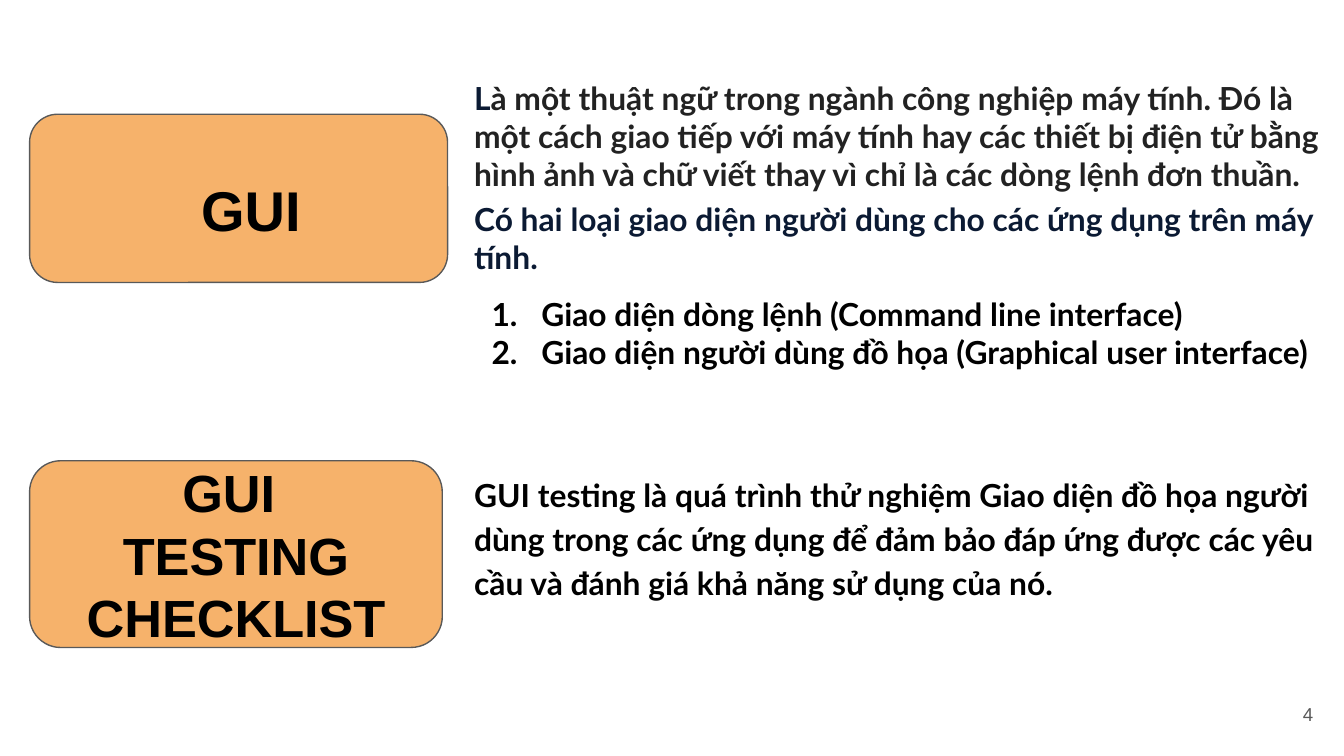
from dataclasses import dataclass

from lxml import etree
from pptx import Presentation
from pptx import util as u
from pptx.dml.color import RGBColor
from pptx.enum import shapes, text
from pptx.oxml.ns import qn


@dataclass(frozen=True)
class Theme:
    orange: RGBColor = RGBColor(0xF6, 0xB2, 0x6B)
    grey: RGBColor = RGBColor(0x59, 0x59, 0x59)
    black: RGBColor = RGBColor(0, 0, 0)
    charcoal: RGBColor = RGBColor(0x22, 0x22, 0x22)
    navy: RGBColor = RGBColor(0x0B, 0x1A, 0x33)
    label_font: str = "Arial"
    body_font: str = "Lato"
    gui_size: int = 30
    checklist_size: int = 28
    body_size: int = 17
    number_size: int = 10


THEME = Theme()
INSET = 0.25
LABEL_LEFT = 0.56
BODY_LEFT, BODY_WIDTH = 8.71, 16.69


def set_frame(tf, anchor, left=INSET, top=INSET):
    tf.word_wrap = True
    tf.vertical_anchor = anchor
    tf.margin_left, tf.margin_top = u.Cm(left), u.Cm(top)
    tf.margin_right = tf.margin_bottom = u.Cm(INSET)


def write_paragraph(p, runs, font, size, bold=True):
    """Fill a paragraph with (wording, colour) runs that share one font."""
    p.font.name, p.font.size, p.font.bold = font, u.Pt(size), bold
    for wording, colour in runs:
        r = p.add_run()
        r.text = wording
        r.font.color.rgb = colour


def add_label(s, top, width, height, lines, size, shift=(0, 0)):
    """Add a rounded label; shift widens its left and top insets."""
    sp = s.shapes.add_shape(shapes.MSO_SHAPE.ROUNDED_RECTANGLE,
                            u.Cm(LABEL_LEFT), u.Cm(top), u.Cm(width), u.Cm(height))
    sp.shadow.inherit = False
    sp.fill.solid()
    sp.fill.fore_color.rgb = THEME.orange
    sp.line.color.rgb = THEME.grey
    sp.line.width = u.Pt(0.75)
    tf = sp.text_frame
    set_frame(tf, text.MSO_ANCHOR.MIDDLE, INSET + shift[0], INSET + shift[1])
    for i, line in enumerate(lines):
        p = tf.add_paragraph() if i else tf.paragraphs[0]
        p.alignment = text.PP_ALIGN.CENTER
        write_paragraph(p, [(line, THEME.black)], THEME.label_font, size)


def add_text_box(s, left, top, width, height, anchor=text.MSO_ANCHOR.TOP):
    sp = s.shapes.add_textbox(u.Cm(left), u.Cm(top), u.Cm(width), u.Cm(height))
    set_frame(sp.text_frame, anchor)
    return sp.text_frame


def number_paragraph(p):
    pPr = p._p.get_or_add_pPr()
    pPr.set("marL", str(u.Cm(1.27)))
    pPr.set("indent", str(u.Cm(-0.94)))
    bullet = etree.Element(qn("a:buAutoNum"), type="arabicPeriod")
    pPr.insert_element_before(bullet, "a:tabLst", "a:defRPr", "a:extLst")


def add_gui_definition(s):
    tf = add_text_box(s, BODY_LEFT, 1.24, BODY_WIDTH, 5.05)
    # runs, space before, numbered
    paragraphs = [
        ([("L", THEME.navy),
          ("à một thuật ngữ trong ngành công nghiệp máy tính. Đó là một cách "
           "giao tiếp với máy tính hay các thiết bị điện tử bằng hình ảnh và "
           "chữ viết thay vì chỉ là các dòng lệnh đơn thuần.", THEME.charcoal)],
         3.8, False),
        ([("Có hai loại giao diện người dùng cho các ứng dụng trên máy tính.",
           THEME.navy)], 3.8, False),
        ([("Giao diện dòng lệnh (Command line interface)", THEME.black)], 9.7, True),
        ([("Giao diện người dùng đồ họa (Graphical user interface)", THEME.black)],
         0, True),
    ]
    for i, (runs, before, numbered) in enumerate(paragraphs):
        p = tf.add_paragraph() if i else tf.paragraphs[0]
        p.space_before = u.Pt(before)
        write_paragraph(p, runs, THEME.body_font, THEME.body_size)
        if numbered:
            number_paragraph(p)


def add_testing_definition(s):
    p = add_text_box(s, BODY_LEFT, 8.64, BODY_WIDTH, 4.11).paragraphs[0]
    p.line_spacing = 1.15
    p.space_after = u.Pt(10)
    wording = ("GUI testing là quá trình thử nghiệm Giao diện đồ họa người dùng "
               "trong các ứng dụng để đảm bảo đáp ứng được các yêu cầu và đánh "
               "giá khả năng sử dụng của nó.")
    write_paragraph(p, [(wording, THEME.black)], THEME.body_font, THEME.body_size)


def add_page_number(s, number):
    p = add_text_box(s, 23.55, 12.95, 1.52, 1.09, text.MSO_ANCHOR.MIDDLE).paragraphs[0]
    p.alignment = text.PP_ALIGN.RIGHT
    write_paragraph(p, [(number, THEME.grey)], THEME.label_font,
                    THEME.number_size, bold=False)


def main():
    prs = Presentation()
    prs.slide_width, prs.slide_height = u.Cm(25.4), u.Cm(14.29)
    s = prs.slides.add_slide(prs.slide_layouts.get_by_name("Blank"))
    add_label(s, 8.71, 7.8, 3.53, ["GUI ", "TESTING CHECKLIST"], THEME.checklist_size)
    add_gui_definition(s)
    add_testing_definition(s)
    add_label(s, 2.16, 7.9, 3.18, ["GUI"], THEME.gui_size, shift=(0.47, 0.42))
    add_page_number(s, "4")
    prs.save("out.pptx")


if __name__ == "__main__":
    main()
